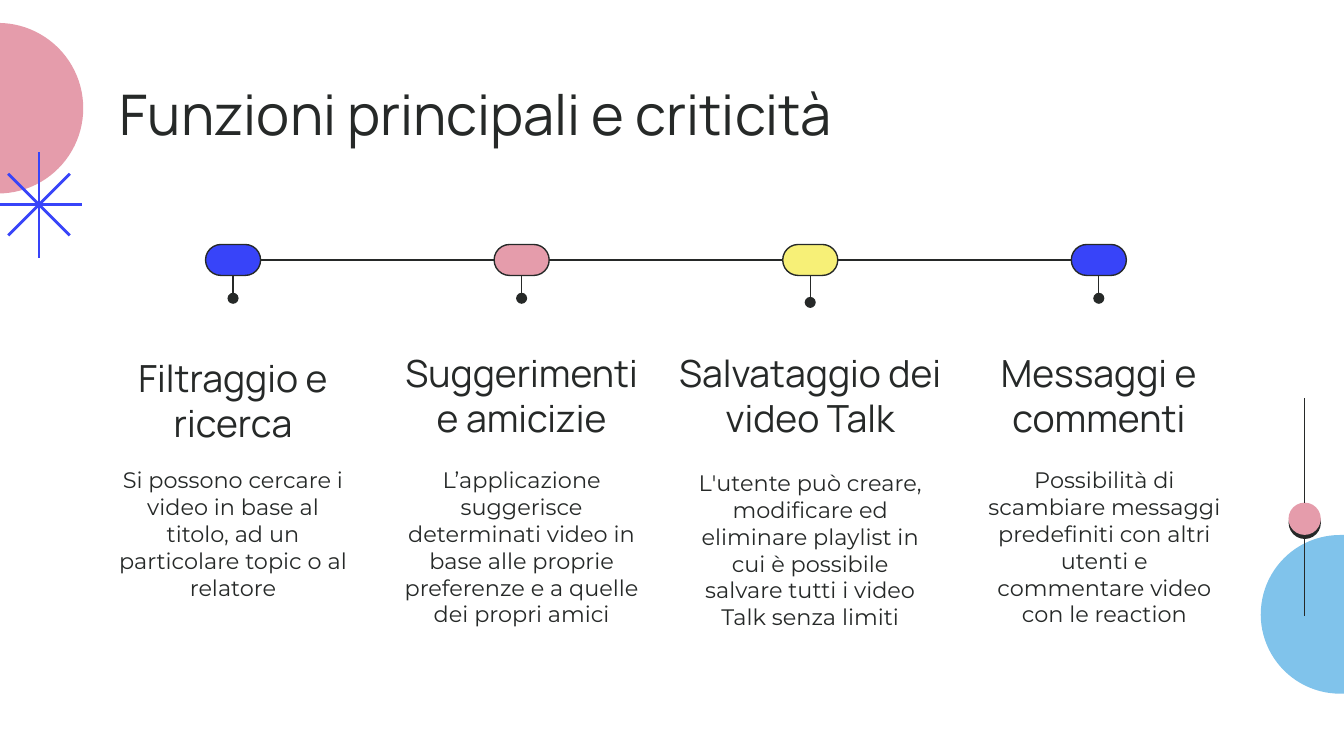
from dataclasses import dataclass

from lxml.etree import SubElement
from pptx import Presentation
from pptx.dml.color import RGBColor
from pptx.enum.shapes import MSO_CONNECTOR, MSO_SHAPE
from pptx.enum.text import MSO_ANCHOR, MSO_AUTO_SIZE, PP_ALIGN
from pptx.oxml.ns import qn
from pptx.shapes.autoshape import Shape
from pptx.shapes.connector import Connector
from pptx.slide import Slide
from pptx.util import Pt


@dataclass(frozen=True)
class Theme:
    ink: str = "262928"
    blue: str = "3844F9"
    pink: str = "E59CAB"
    yellow: str = "F7F077"
    sky: str = "80C3EB"
    heading_font: str = "Manrope"
    body_font: str = "Montserrat"
    title_size: float = 30
    heading_size: float = 20
    body_size: float = 12
    thin: float = 0.75
    thick: float = 1.5


@dataclass(frozen=True)
class Box:
    left: float
    top: float
    width: float
    height: float


@dataclass(frozen=True)
class Feature:
    heading: str
    description: str
    color: str
    heading_width: float = 142.6
    heading_height: float = 63.4
    body_top: float = 242.6
    body_shift: float = 0
    stem_end: float = 159.8


THEME = Theme()
PILL = Box(110.1, 131, 29.5, 16.6)
PITCH = 154.6
HEADING_TOP = 179.3
BODY_WIDTH = 142.6
BODY_HEIGHT = 98.6

FEATURES = [
    Feature("Filtraggio e ricerca",
            "Si possono cercare i video in base al titolo, ad un particolare topic o al relatore",
            THEME.blue, heading_width=166.3, heading_height=66.2),
    Feature("Suggerimenti e amicizie",
            "L’applicazione suggerisce determinati video in base alle proprie preferenze "
            "e a quelle dei propri amici",
            THEME.pink),
    Feature("Salvataggio dei video Talk",
            "L'utente può creare, modificare ed eliminare playlist in cui è possibile "
            "salvare tutti i video Talk senza limiti",
            THEME.yellow, heading_width=178.6, body_top=244.1, stem_end=162),
    Feature("Messaggi e commenti",
            "Possibilità di scambiare messaggi predefiniti con altri utenti e commentare "
            "video con le reaction",
            THEME.blue, body_shift=3),
]


def place(shape: Shape, box: Box) -> None:
    shape.left, shape.top = Pt(box.left), Pt(box.top)
    shape.width, shape.height = Pt(box.width), Pt(box.height)


def add_filled(slide: Slide, kind: MSO_SHAPE, box: Box, color: str,
               outlined: bool = False) -> Shape:
    shape = slide.shapes.add_shape(kind, 0, 0, 0, 0)
    place(shape, box)
    shape.shadow.inherit = False
    shape.fill.solid()
    shape.fill.fore_color.rgb = RGBColor.from_string(color)
    if kind == MSO_SHAPE.ROUNDED_RECTANGLE:
        shape.adjustments[0] = 0.5
    if outlined:
        shape.line.color.rgb = RGBColor.from_string(THEME.ink)
        shape.line.width = Pt(THEME.thin)
    else:
        shape.line.fill.background()
    return shape


def add_line(slide: Slide, start: tuple[float, float], end: tuple[float, float],
             color: str = THEME.ink, weight: float = THEME.thin) -> Connector:
    line = slide.shapes.add_connector(
        MSO_CONNECTOR.STRAIGHT, Pt(start[0]), Pt(start[1]), Pt(end[0]), Pt(end[1]))
    line.line.color.rgb = RGBColor.from_string(color)
    line.line.width = Pt(weight)
    SubElement(line._element.spPr, qn("a:effectLst"))
    return line


def add_hard_shadow(shape: Shape, color: str) -> None:
    effects = shape._element.spPr.find(qn("a:effectLst"))
    shadow = SubElement(effects, qn("a:outerShdw"), blurRad="0", dist=str(Pt(2.2)),
                        dir=str(88 * 60000), algn="bl", rotWithShape="0")
    SubElement(shadow, qn("a:srgbClr"), val=color)


def write(shape: Shape, text: str, font: str, size: float,
          align: PP_ALIGN, anchor: MSO_ANCHOR) -> None:
    frame = shape.text_frame
    frame.text = text
    frame.word_wrap = True
    frame.auto_size = MSO_AUTO_SIZE.NONE
    frame.vertical_anchor = anchor
    frame.margin_left = frame.margin_right = Pt(7.2)
    frame.margin_top = frame.margin_bottom = Pt(7.2)
    for paragraph in frame.paragraphs:
        paragraph.alignment = align
        for run in paragraph.runs:
            run.font.name = font
            run.font.size = Pt(size)
            run.font.color.rgb = RGBColor.from_string(THEME.ink)


def add_text(slide: Slide, box: Box, text: str, font: str, size: float,
             anchor: MSO_ANCHOR) -> None:
    shape = slide.shapes.add_textbox(0, 0, 0, 0)
    place(shape, box)
    write(shape, text, font, size, PP_ALIGN.CENTER, anchor)


def add_decorations(slide: Slide) -> None:
    add_filled(slide, MSO_SHAPE.OVAL, Box(-46.8, 12.3, 91.4, 91.4), THEME.pink)
    add_filled(slide, MSO_SHAPE.ROUNDED_RECTANGLE, Box(675.4, 286.6, 185.8, 85), THEME.sky)
    center_x, center_y = 20.9, 109.6
    for reach_x, reach_y in [(0, 28.4), (23, 0), (16.5, 16.5), (16.5, -16.5)]:
        add_line(slide, (center_x + reach_x, center_y + reach_y),
                 (center_x - reach_x, center_y - reach_y), THEME.blue, THEME.thick)
    bead = add_filled(slide, MSO_SHAPE.OVAL, Box(690.3, 269.3, 17.3, 17.3), THEME.pink)
    add_hard_shadow(bead, THEME.ink)
    for start, end in [(286.6, 330.2), (269.3, 213.1)]:
        add_line(slide, (699, start), (699, end))


def add_feature(slide: Slide, index: int, feature: Feature) -> None:
    left = PILL.left + index * PITCH
    center = left + PILL.width / 2
    add_filled(slide, MSO_SHAPE.ROUNDED_RECTANGLE,
               Box(left, PILL.top, PILL.width, PILL.height), feature.color, outlined=True)
    add_text(slide, Box(center - feature.heading_width / 2, HEADING_TOP,
                        feature.heading_width, feature.heading_height),
             feature.heading, THEME.heading_font, THEME.heading_size, MSO_ANCHOR.BOTTOM)
    add_text(slide, Box(center - BODY_WIDTH / 2 + feature.body_shift, feature.body_top,
                        BODY_WIDTH, BODY_HEIGHT),
             feature.description, THEME.body_font, THEME.body_size, MSO_ANCHOR.TOP)
    stem = add_line(slide, (center, PILL.top + PILL.height), (center, feature.stem_end))
    SubElement(stem.line._get_or_add_ln(), qn("a:tailEnd"), type="oval")
    if index:
        middle = PILL.top + PILL.height / 2
        add_line(slide, (left - PITCH + PILL.width, middle), (left, middle))


def main() -> None:
    presentation = Presentation()
    presentation.slide_width, presentation.slide_height = Pt(720), Pt(405)
    slide = presentation.slides.add_slide(presentation.slide_layouts.get_by_name("Title Only"))
    add_decorations(slide)
    title = slide.shapes.title
    place(title, Box(56.9, 35.3, 607, 45.4))
    write(title, "Funzioni principali e criticità", THEME.heading_font,
          THEME.title_size, PP_ALIGN.LEFT, MSO_ANCHOR.TOP)
    for index, feature in enumerate(FEATURES):
        add_feature(slide, index, feature)
    presentation.save("out.pptx")


if __name__ == "__main__":
    main()
